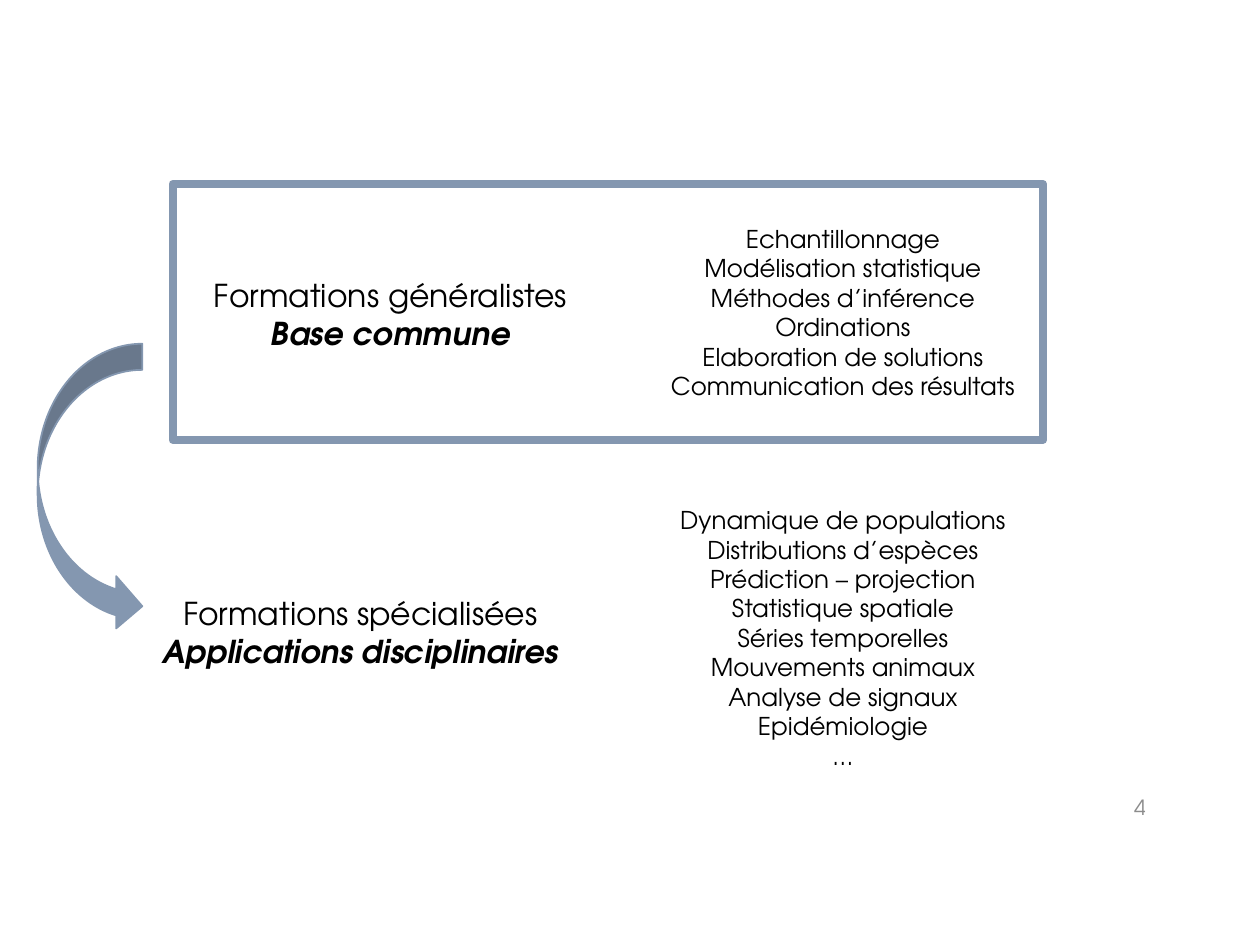
from pptx import Presentation
from pptx.dml.color import RGBColor
from pptx.enum.shapes import MSO_SHAPE as Shape
from pptx.enum.text import MSO_ANCHOR as Anchor, PP_ALIGN as Align
from pptx.util import Cm, Pt

FONT = "TeX Gyre Adventor"
STEEL = "8497B0"
HEADING_SIZE = (8.79, 1.8)
TOPICS_WIDTH = 9.45


def color(hex_code):
    """Return the colour for a hex string."""
    return RGBColor.from_string(hex_code)


def add_text(slide, box, lines, size=14, fill="000000", align=Align.CENTER,
             anchor=Anchor.TOP, emphasized=()):
    """Write one paragraph per line in a box; emphasized lines are bold italic."""
    frame = slide.shapes.add_textbox(*map(Cm, box)).text_frame
    frame.word_wrap = True
    frame.vertical_anchor = anchor
    for index, line in enumerate(lines):
        paragraph = frame.paragraphs[0] if index == 0 else frame.add_paragraph()
        paragraph.alignment = align
        run = paragraph.add_run()
        run.text = line
        run.font.name = FONT
        run.font.size = Pt(size)
        run.font.color.rgb = color(fill)
        if index in emphasized:
            run.font.bold = run.font.italic = True


def add_outlined(slide, kind, box, line_width, fill=None):
    """Add a steel-outlined shape, filled only when a colour is given."""
    shape = slide.shapes.add_shape(kind, *map(Cm, box))
    shape.shadow.inherit = False
    shape.line.color.rgb = color(STEEL)
    shape.line.width = Pt(line_width)
    if fill:
        shape.fill.solid()
        shape.fill.fore_color.rgb = color(fill)
    else:
        shape.fill.background()


def add_training(slide, box, heading, topics, heading_top, topics_at, framed=False):
    """Place a training level: heading on the left, its topics on the right."""
    left, top, width, height = box
    topics_left, topics_top = topics_at
    add_text(slide, (left, top + heading_top, *HEADING_SIZE), heading,
             size=18, emphasized=(1,))
    add_text(slide, (left + topics_left, top + topics_top, TOPICS_WIDTH,
                     height - 2 * topics_top), topics)
    if framed:
        add_outlined(slide, Shape.RECTANGLE, box, 4.5)


def main():
    """Build and save the slide."""
    deck = Presentation()
    deck.slide_width, deck.slide_height = Cm(25.4), Cm(19.05)
    slide = deck.slides.add_slide(deck.slide_layouts[6])

    add_training(
        slide, (3.48, 3.71, 17.55, 5.16),
        ["Formations généralistes", "Base commune"],
        ["Echantillonnage", "Modélisation statistique", "Méthodes d’inférence",
         "Ordinations", "Elaboration de solutions", "Communication des résultats"],
        heading_top=1.73, topics_at=(8.79, 0.68), framed=True)
    add_training(
        slide, (2.87, 10.06, 18.85, 5.64),
        ["Formations spécialisées", "Applications disciplinaires"],
        ["Dynamique de populations", "Distributions d’espèces",
         "Prédiction – projection", "Statistique spatiale", "Séries temporelles",
         "Mouvements animaux", "Analyse de signaux", "Epidémiologie", "…"],
        heading_top=1.8, topics_at=(9.4, 0))
    add_outlined(slide, Shape.CURVED_RIGHT_ARROW, (0.76, 6.93, 2.11, 5.82), 1, STEEL)
    add_text(slide, (17.63, 15.77, 5.72, 1.02), ["4"], size=12, fill="8C8C8C",
             align=Align.RIGHT, anchor=Anchor.MIDDLE)

    deck.save("out.pptx")


if __name__ == "__main__":
    main()
